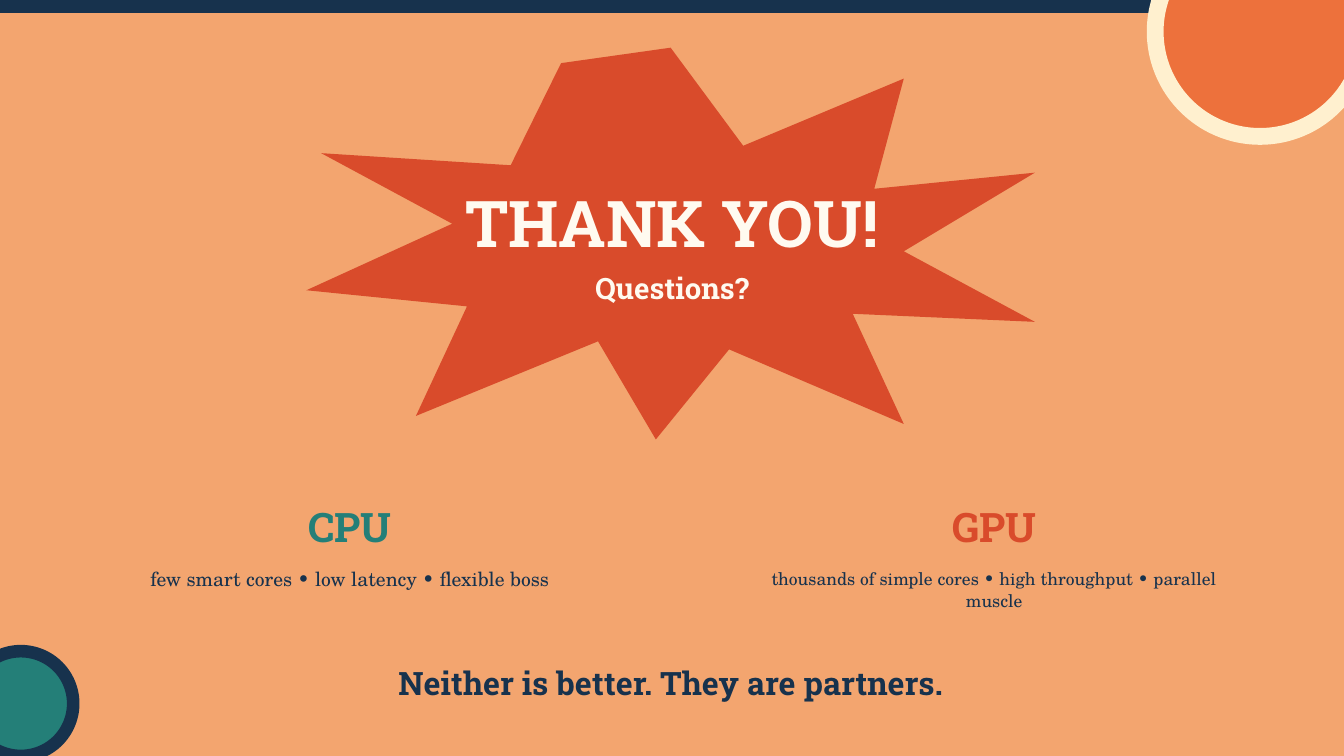
import dataclasses

import pptx
import pptx.dml.color
import pptx.enum.shapes
import pptx.enum.text
import pptx.util

Inches = pptx.util.Inches
Pt = pptx.util.Pt


@dataclasses.dataclass(frozen=True)
class Theme:
    """Colours, fonts and type sizes of the slide."""
    sand: str = "F3A56F"
    navy: str = "17324D"
    orange: str = "ED713C"
    cream: str = "FFF0CF"
    teal: str = "247F78"
    red: str = "D94B2B"
    white: str = "FFFAF0"
    heading_font: str = "Roboto Slab"
    body_font: str = "TeX Gyre Schola"
    title_size: float = 69
    name_size: float = 43.5
    closing_size: float = 34.5
    question_size: float = 31.5
    body_size: float = 21
    small_size: float = 18.8


THEME = Theme()
BURST_POINTS = [
    (5.42, 0), (6.5, 1.46), (8.89, 0.46), (8.45, 2.1), (10.84, 1.86),
    (8.89, 3.03), (10.84, 4.08), (8.13, 3.96), (8.89, 5.6), (6.29, 4.49),
    (5.2, 5.83), (4.34, 4.37), (1.63, 5.48), (2.39, 3.85), (0, 3.61),
    (2.17, 2.62), (0.22, 1.57), (3.04, 1.75), (3.79, 0.23),
]


def rgb(value):
    """Return the colour for a hexadecimal string."""
    return pptx.dml.color.RGBColor.from_string(value)


def paint(shape, fill, line=None, line_width=0):
    """Give a shape a flat fill, an optional outline and no shadow."""
    shape.shadow.inherit = False
    shape.fill.solid()
    shape.fill.fore_color.rgb = rgb(fill)
    if line:
        shape.line.color.rgb = rgb(line)
        shape.line.width = Pt(line_width)
    else:
        shape.line.fill.background()


def add_text(slide, text, left, top, width, height, *, size, color, spacing,
             font=THEME.heading_font, bold=True):
    """Add one centred line of text without insets."""
    box = slide.shapes.add_textbox(Inches(left), Inches(top), Inches(width), Inches(height))
    frame = box.text_frame
    frame.word_wrap = True
    frame.margin_left = frame.margin_right = frame.margin_top = frame.margin_bottom = 0
    paragraph = frame.paragraphs[0]
    paragraph.alignment = pptx.enum.text.PP_ALIGN.CENTER
    paragraph.line_spacing = Pt(spacing)
    run = paragraph.add_run()
    run.text = text
    run.font.name = font
    run.font.size = Pt(size)
    run.font.bold = bold
    run.font.color.rgb = rgb(color)


def add_disc(slide, left, top, diameter, fill, line, line_width):
    """Add an outlined corner disc."""
    disc = slide.shapes.add_shape(pptx.enum.shapes.MSO_SHAPE.OVAL, Inches(left), Inches(top),
                                  Inches(diameter), Inches(diameter))
    paint(disc, fill, line, line_width)


def add_decoration(slide, width):
    """Add the background, top band and corner discs."""
    slide.background.fill.solid()
    slide.background.fill.fore_color.rgb = rgb(THEME.sand)
    band = slide.shapes.add_shape(pptx.enum.shapes.MSO_SHAPE.RECTANGLE, 0, 0,
                                  Inches(width), Inches(0.19))
    paint(band, THEME.navy)
    add_disc(slide, 17.19, -1.09, 3.12, THEME.orange, THEME.cream, 18)
    add_disc(slide, -0.47, 9.69, 1.56, THEME.teal, THEME.navy, 13.5)


def add_burst(slide, left, top):
    """Add the starburst with its thanks and question."""
    points = [(Inches(left + x), Inches(top + y)) for x, y in BURST_POINTS]
    builder = slide.shapes.build_freeform(*points[0], scale=1.0)
    builder.add_line_segments(points[1:], close=True)
    paint(builder.convert_to_shape(), THEME.red)
    add_text(slide, "THANK YOU!", left + 1.06, top + 2.19, 8.75, 1.01,
             size=THEME.title_size, color=THEME.white, spacing=70.4)
    add_text(slide, "Questions?", left + 2.63, top + 3.38, 5.62, 0.48,
             size=THEME.question_size, color=THEME.white, spacing=33.1)


def add_processor(slide, left, top, width, name, traits, color, size, spacing, gap):
    """Add a processor name above its traits."""
    add_text(slide, name, left, top, width, 0.65,
             size=THEME.name_size, color=color, spacing=44.4)
    add_text(slide, traits, left, top + gap, width, 0.36, size=size, color=THEME.navy,
             spacing=spacing, font=THEME.body_font, bold=False)


def main():
    """Build and save the closing slide."""
    presentation = pptx.Presentation()
    presentation.slide_width = Inches(20)
    presentation.slide_height = Inches(11.25)
    slide = presentation.slides.add_slide(presentation.slide_layouts[6])
    add_decoration(slide, 20)
    add_burst(slide, 4.56, 0.71)
    add_processor(slide, 1.56, 7.58, 7.29, "CPU",
                  "few smart cores • low latency • flexible boss",
                  THEME.teal, THEME.body_size, 26.9, 0.84)
    add_processor(slide, 11.15, 7.58, 7.29, "GPU",
                  "thousands of simple cores • high throughput • parallel muscle",
                  THEME.red, THEME.small_size, 24, 0.85)
    add_text(slide, "Neither is better. They are partners.", 4.77, 9.94, 10.42, 0.53,
             size=THEME.closing_size, color=THEME.navy, spacing=36.2)
    presentation.save("out.pptx")


if __name__ == "__main__":
    main()
